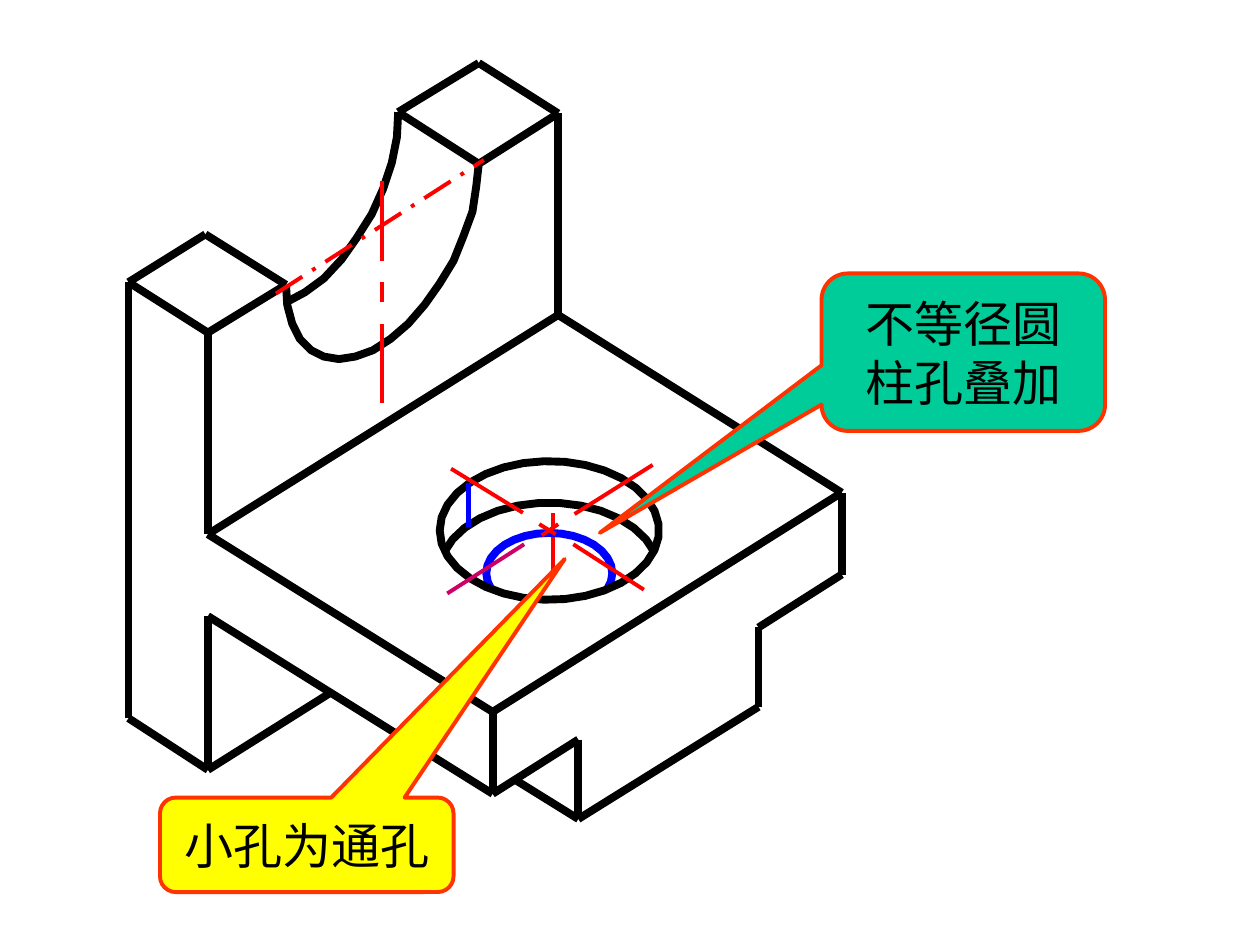
import math
from itertools import pairwise

import pptx
import pptx.dml.color
import pptx.enum.dml
import pptx.enum.shapes
import pptx.enum.text
import pptx.oxml
import pptx.oxml.ns
import pptx.util

BLACK, RED, BLUE, PLUM = "000000", "FF0000", "0000FF", "CC0066"
FONT = "Times New Roman"

# Content: points are (x, y) in inches; each chain is a run of straight edges
edges = [
    [(3.91, 6.3), (4.59, 5.87), (4.59, 6.5), (6.02, 5.61), (6.02, 4.98),
     (6.68, 4.56), (6.68, 3.91), (4.43, 2.5), (4.43, 0.9), (3.8, 0.5),
     (3.16, 0.89), (3.8, 1.3), (4.43, 0.9)],
    [(4.59, 6.5), (4.09, 6.19)],
    [(2.62, 5.5), (1.65, 6.11), (1.02, 5.7), (1.02, 2.24), (1.63, 1.86),
     (2.27, 2.26), (1.65, 2.64), (1.02, 2.24)],
    [(1.65, 6.11), (1.65, 4.89), (3.91, 6.3), (3.91, 5.65), (6.68, 3.91)],
    [(3.91, 5.65), (1.65, 4.24), (4.43, 2.5)],
    [(1.65, 4.24), (1.65, 2.64)],
]
saddle = [
    [(2.27, 2.4), (2.42, 2.32), (2.57, 2.21), (2.71, 2.06), (2.83, 1.89),
     (2.95, 1.7), (3.04, 1.5), (3.11, 1.29), (3.15, 1.09), (3.16, 0.89)],
    [(2.27, 2.26), (2.28, 2.42), (2.32, 2.57), (2.38, 2.69), (2.47, 2.78),
     (2.57, 2.83), (2.69, 2.85), (2.82, 2.83), (2.96, 2.78), (3.1, 2.69),
     (3.24, 2.57), (3.37, 2.42), (3.49, 2.25), (3.6, 2.07), (3.68, 1.87),
     (3.75, 1.68), (3.78, 1.48), (3.8, 1.3)],
]
# Hole arcs: centre y, radii, start and end angle, steps, colour
hole_x = 4.36
holes = [
    (4.55, 0.5, 0.32, 23, -203, 20, BLUE),
    (4.54, 0.87, 0.55, -17, -163, 13, BLACK),
    (4.21, 0.87, 0.55, 180, -180, 33, BLACK),
]
axes = [
    ((3.55, 4.71), (4.16, 4.32), PLUM),
    ((4.3, 4.25), (4.43, 4.16), RED),
    ((4.56, 4.08), (5.18, 3.69), RED),
    ((3.58, 3.72), (4.15, 4.07), RED),
    ((4.28, 4.16), (4.41, 4.24), RED),
    ((4.55, 4.32), (5.11, 4.68), RED),
    ((3.03, 1.44), (3.03, 2.07), RED),
    ((3.03, 2.24), (3.03, 2.4), RED),
    ((3.03, 2.57), (3.03, 3.2), RED),
]
# Callouts: box, pointer, fill, lines of text
notes = [
    ((6.52, 2.17, 2.25, 1.25), (-1.282, 1.147), "00CC99",
     ["不等径圆", "柱孔叠加"]),
    ((1.27, 6.33, 2.33, 0.75), (0.879, -3.025), "FFFF00", ["小孔为通孔"]),
]


def size(inch):
    return pptx.util.Cm(inch * 2.54)


def paint(part, code):
    if hasattr(part, "solid"):
        part.solid()
        part.fore_color.rgb = pptx.dml.color.RGBColor.from_string(code)
    else:
        part.rgb = pptx.dml.color.RGBColor.from_string(code)


def stroke(shape, code, width):
    paint(shape.line.fill, code)
    shape.line.width = pptx.util.Pt(width)


def draw_line(start, end, code, width):
    line = shapes.add_connector(pptx.enum.shapes.MSO_CONNECTOR.STRAIGHT,
                                *map(size, start + end))
    stroke(line, code, width)
    props = line._element.spPr
    props.append(pptx.oxml.parse_xml(
        f'<a:effectLst {pptx.oxml.ns.nsdecls("a")}/>'))
    return line


def draw_curve(points, code, closed=False):
    spots = [(size(x), size(y)) for x, y in points]
    build = shapes.build_freeform(*spots[0])
    build.add_line_segments(spots[1:], close=closed)
    curve = build.convert_to_shape()
    curve.shadow.inherit = False
    curve.fill.background()
    stroke(curve, code, 4.5)


def arc(y, wide, high, first, last, steps):
    turns = [math.radians(first + (last - first) * i / steps)
             for i in range(steps + 1)]
    return [(hole_x + wide * math.cos(t), y + high * math.sin(t))
            for t in turns]


deck = pptx.Presentation()
deck.slide_width, deck.slide_height = size(10), size(7.5)
shapes = deck.slides.add_slide(deck.slide_layouts[6]).shapes

# Stepped hole, with its upright axis behind
draw_line((4.39, 4.07), (4.39, 4.54), RED, 2.25)
for *form, code in holes:
    draw_curve(arc(*form), code, closed=form[3] - form[4] == 360)

# Body and saddle
for chain in edges:
    for start, end in pairwise(chain):
        draw_line(start, end, BLACK, 4.5)
for points in saddle:
    draw_curve(points, BLACK)

# Centre lines
for start, end, code in axes:
    draw_line(start, end, code, 2.25)
long_axis = draw_line((2.19, 2.33), (3.84, 1.27), RED, 2.25)
long_axis.line.dash_style = pptx.enum.dml.MSO_LINE.LONG_DASH_DOT

# Callouts
for box, tip, fill, lines in notes:
    note = shapes.add_shape(
        pptx.enum.shapes.MSO_SHAPE.ROUNDED_RECTANGULAR_CALLOUT,
        *map(size, box))
    note.adjustments[0], note.adjustments[1] = tip
    note.adjustments[2] = 0.167
    note.shadow.inherit = False
    paint(note.fill, fill)
    stroke(note, "FF3300", 2.25)
    frame = note.text_frame
    frame.word_wrap = False
    frame.vertical_anchor = pptx.enum.text.MSO_ANCHOR.MIDDLE
    frame.text = "\n".join(lines)
    for para in frame.paragraphs:
        para.alignment = pptx.enum.text.PP_ALIGN.CENTER
        para.font.name = FONT
        para.font.size = pptx.util.Pt(28)
        paint(para.font.color, BLACK)

# Side of the large hole
draw_line((3.72, 3.83), (3.72, 4.18), BLUE, 3)

deck.save("out.pptx")
